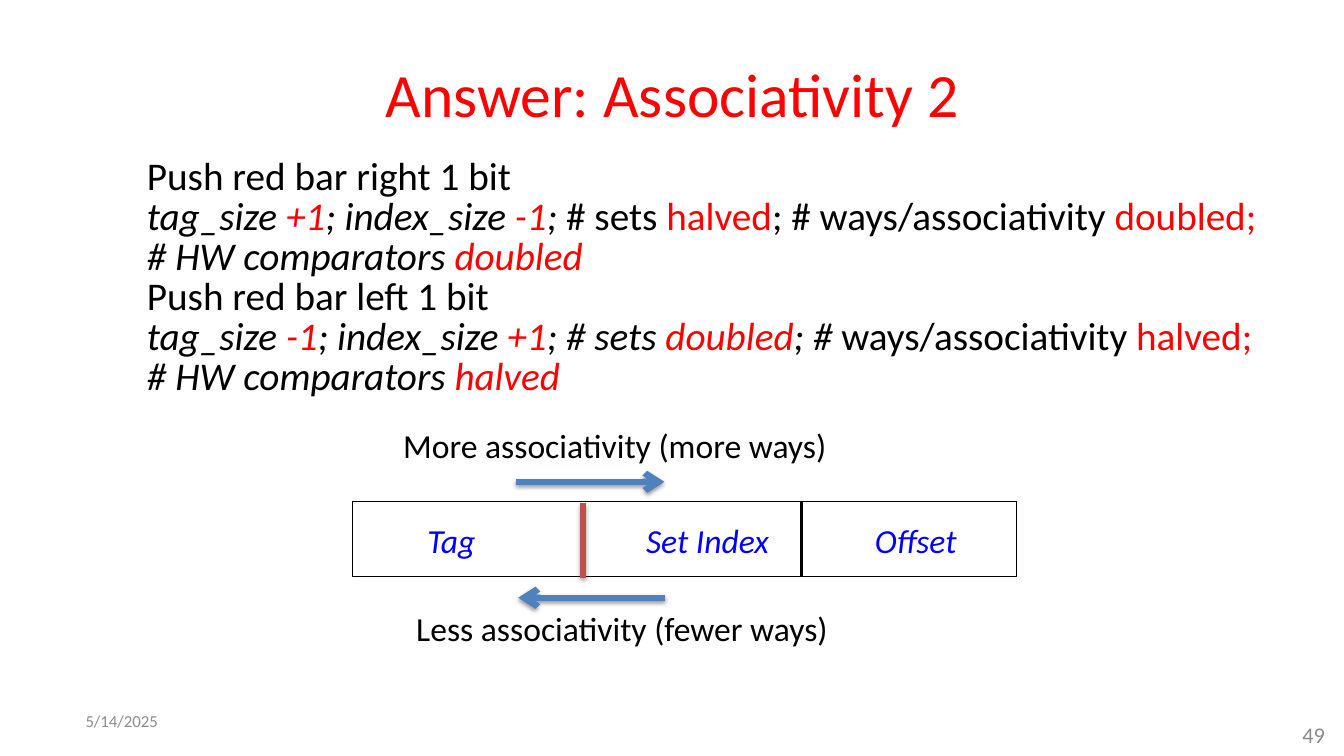
"""Builds the slide on how moving the tag and index boundary changes associativity."""
from dataclasses import dataclass

from lxml.etree import SubElement
from pptx import Presentation
from pptx.dml.color import RGBColor
from pptx.enum.shapes import MSO_CONNECTOR as Connector, MSO_SHAPE as Shape
from pptx.enum.text import MSO_ANCHOR as Anchor, PP_ALIGN as Align
from pptx.oxml.ns import qn
from pptx.util import Inches, Pt


@dataclass(frozen=True)
class Theme:
    """Colours, type sizes and line widths."""
    font: str = "Calibri"
    black: str = "000000"
    red: str = "FF0000"
    blue: str = "0000FF"
    grey: str = "8C8C8C"
    arrow: str = "4F81BD"
    bar: str = "C0504D"
    title: int = 44
    body: int = 28
    label: int = 24
    number: int = 16
    date: int = 12
    thick: float = 4.5
    divider: float = 2
    outline: float = 0.75


THEME = Theme()
PLAIN, ITALIC = (THEME.black, False), (THEME.black, True)
RED, RED_ITALIC = (THEME.red, False), (THEME.red, True)
FIELD, FOOTER = (THEME.blue, True), (THEME.grey, False)

BODY = [
    [("Push red bar right 1 bit", PLAIN)],
    [("tag_size ", ITALIC), ("+1", RED_ITALIC), ("; index_size ", ITALIC),
     ("-1", RED_ITALIC), ("; ", ITALIC), ("# sets ", PLAIN), ("halved", RED),
     ("; # ways/associativity ", PLAIN), ("doubled;", RED)],
    [("# HW comparators ", ITALIC), ("doubled", RED_ITALIC)],
    [("Push red bar left 1 bit", PLAIN)],
    [("tag_size ", ITALIC), ("-1", RED_ITALIC), ("; index_size ", ITALIC),
     ("+1", RED_ITALIC), ("; # sets ", ITALIC), ("doubled", RED_ITALIC),
     ("; # ", ITALIC), ("ways/associativity ", PLAIN), ("halved;", RED)],
    [("# HW comparators ", ITALIC), ("halved", RED_ITALIC)],
]
LABELS = [
    ("More associativity (more ways)", 3.9, 4.17, 4.48, PLAIN),
    ("Offset", 8.58, 5.11, 1.03, FIELD),
    ("Tag", 4.14, 5.11, 0.69, FIELD),
    ("Set Index", 6.31, 5.11, 1.43, FIELD),
    ("Less associativity (fewer ways)", 4.03, 5.98, 4.36, PLAIN),
]
LABEL_HEIGHT = 0.5
ADDRESS = (3.5, 4.98, 6.58, 0.74)
OFFSET_DIVIDER, RED_BAR = 7.95, 5.78
ARROWS = [(5.12, 6.59, 4.78, "tailEnd"), (5.14, 6.6, 5.93, "headEnd")]


def colour(value):
    return RGBColor.from_string(value)


def add_text(page, area, lines, size, align=Align.LEFT, anchor=Anchor.TOP,
             wrap=True, spacing=None):
    box = page.shapes.add_textbox(*map(Inches, area))
    frame = box.text_frame
    frame.word_wrap = wrap
    frame.vertical_anchor = anchor
    for index, spans in enumerate(lines):
        para = frame.add_paragraph() if index else frame.paragraphs[0]
        para.alignment = align
        para.line_spacing = spacing
        for text, (ink, italic) in spans:
            span = para.add_run()
            span.text = text
            span.font.name = THEME.font
            span.font.size = Pt(size)
            span.font.italic = italic
            span.font.color.rgb = colour(ink)


def add_line(page, start, end, ink, width, arrow_end=None, shadow=None):
    line = page.shapes.add_connector(
        Connector.STRAIGHT, *map(Inches, (*start, *end)))
    line.line.color.rgb = colour(ink)
    line.line.width = Pt(width)
    properties = line._element.spPr
    if arrow_end:
        SubElement(properties.find(qn("a:ln")), qn("a:" + arrow_end), type="arrow")
    effects = SubElement(properties, qn("a:effectLst"))
    if shadow:
        distance, opacity = shadow
        outer = SubElement(effects, qn("a:outerShdw"), blurRad=str(Pt(3.1)),
                           dist=str(Pt(distance)), dir=str(90 * 60000),
                           rotWithShape="0")
        shade = SubElement(outer, qn("a:srgbClr"), val=THEME.black)
        SubElement(shade, qn("a:alpha"), val=str(opacity * 1000))


def add_address(page):
    left, top, width, height = ADDRESS
    address = page.shapes.add_shape(Shape.RECTANGLE, *map(Inches, ADDRESS))
    address.shadow.inherit = False
    address.fill.background()
    address.line.color.rgb = colour(THEME.black)
    address.line.width = Pt(THEME.outline)
    bottom = top + height
    add_line(page, (OFFSET_DIVIDER, top), (OFFSET_DIVIDER, bottom),
             THEME.black, THEME.divider)
    add_line(page, (RED_BAR, top + 0.01), (RED_BAR, bottom + 0.01),
             THEME.bar, THEME.thick, shadow=(1.8, 35))


def main():
    deck = Presentation()
    deck.slide_width, deck.slide_height = Inches(13.33), Inches(7.5)
    page = deck.slides.add_slide(deck.slide_layouts[6])
    add_text(page, (0.67, 0.3, 12, 1.25), [[("Answer: Associativity 2", RED)]],
             THEME.title, Align.CENTER, Anchor.MIDDLE)
    add_text(page, (1.36, 1.52, 11.34, 2.98), BODY, THEME.body,
             wrap=False, spacing=0.85)
    add_text(page, (0.75, 6.95, 2.33, 0.4), [[("5/14/2025", FOOTER)]],
             THEME.date, anchor=Anchor.MIDDLE)
    add_address(page)
    for left, right, height, arrow_end in ARROWS:
        add_line(page, (left, height), (right, height), THEME.arrow,
                 THEME.thick, arrow_end, shadow=(1.6, 38))
    for text, left, top, width, style in LABELS:
        add_text(page, (left, top, width, LABEL_HEIGHT), [[(text, style)]],
                 THEME.label, wrap=False)
    add_text(page, (12.57, 7.08, 0.67, 0.42), [[("49", FOOTER)]],
             THEME.number, Align.RIGHT, Anchor.MIDDLE)
    deck.save("out.pptx")


if __name__ == "__main__":
    main()
